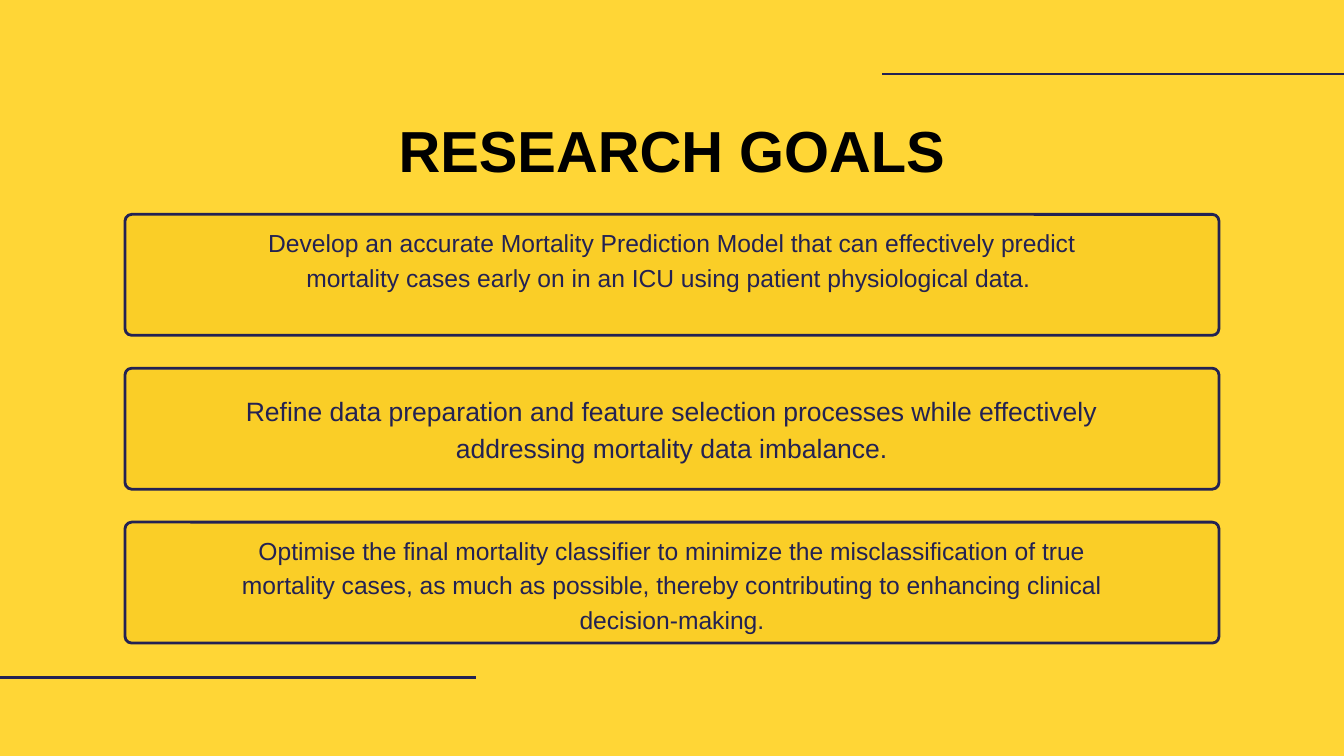
from pptx import Presentation
from pptx.dml.color import RGBColor
from pptx.enum.shapes import MSO_CONNECTOR, MSO_SHAPE
from pptx.enum.text import MSO_ANCHOR, MSO_AUTO_SIZE, PP_ALIGN
from pptx.util import Inches, Pt
from lxml import etree

STRAIGHT = MSO_CONNECTOR.STRAIGHT
ROUNDED = MSO_SHAPE.ROUNDED_RECTANGLE
TOP = MSO_ANCHOR.TOP
NO_AUTOFIT = MSO_AUTO_SIZE.NONE
CENTER = PP_ALIGN.CENTER
DRAWING_NS = "http://schemas.openxmlformats.org/drawingml/2006/main"

TITLE = "RESEARCH GOALS"
# Each goal: text, text style, offset of the text below the card top, text height
GOALS = [
    ("Develop an accurate Mortality Prediction Model that can effectively predict "
     "mortality cases early on in an ICU using patient physiological data. ",
     "goal", 0.13, 1.5),
    ("Refine data preparation and feature selection processes while effectively "
     "addressing mortality data imbalance.",
     "large_goal", 0.32, 1.09),
    ("Optimise the final mortality classifier to minimize the misclassification of true "
     "mortality cases, as much as possible, thereby contributing to enhancing clinical "
     "decision-making.",
     "goal", 0.13, 1.5),
]
RULES = [(-0.02, 10.08), (13.13, 1.1)]  # left end of each rule

THEME = {
    "background": RGBColor.from_string("FFD636"),
    "card": RGBColor.from_string("FACE27"),
    "ink": RGBColor.from_string("232253"),
    "title": RGBColor.from_string("000000"),
    "font": "Arial",
    "line_width": Pt(3),
}
STYLES = {
    "title": dict(size=62, spacing=86.8, color=THEME["title"], bold=True, width=8.7),
    "goal": dict(size=26.4, spacing=37, color=THEME["ink"], bold=False, width=12.83),
    "large_goal": dict(size=28.4, spacing=39.8, color=THEME["ink"], bold=False, width=13.8),
}

SLIDE_WIDTH, SLIDE_HEIGHT = 20, 11.25
RULE_LENGTH = 7.1
CARD_WIDTH, CARD_HEIGHT, CARD_RADIUS = 16.28, 1.8, 0.1
FIRST_CARD_TOP, CARD_STEP = 3.19, 2.29


def style_line(line):
    line.color.rgb = THEME["ink"]
    line.width = THEME["line_width"]


def add_rule(slide, left, top):
    rule = slide.shapes.add_connector(
        STRAIGHT, Inches(left), Inches(top), Inches(left + RULE_LENGTH), Inches(top))
    style_line(rule.line)
    etree.SubElement(rule._element.spPr, f"{{{DRAWING_NS}}}effectLst")


def add_card(slide, top):
    card = slide.shapes.add_shape(
        ROUNDED, Inches((SLIDE_WIDTH - CARD_WIDTH) / 2), Inches(top),
        Inches(CARD_WIDTH), Inches(CARD_HEIGHT))
    card.adjustments[0] = CARD_RADIUS / CARD_HEIGHT
    card.shadow.inherit = False
    card.fill.solid()
    card.fill.fore_color.rgb = THEME["card"]
    style_line(card.line)


def add_centered_text(slide, text, style_name, top, height):
    """Place a text box across the middle of the slide."""
    style = STYLES[style_name]
    box = slide.shapes.add_textbox(
        Inches((SLIDE_WIDTH - style["width"]) / 2), Inches(top),
        Inches(style["width"]), Inches(height))
    frame_format = dict(word_wrap=True, auto_size=NO_AUTOFIT, vertical_anchor=TOP,
                        margin_left=0, margin_right=0, margin_top=0, margin_bottom=0)
    for name, value in frame_format.items():
        setattr(box.text_frame, name, value)
    paragraph = box.text_frame.paragraphs[0]
    paragraph.alignment = CENTER
    paragraph.line_spacing = Pt(style["spacing"])
    run = paragraph.add_run()
    run.text = text
    font_format = dict(name=THEME["font"], size=Pt(style["size"]), bold=style["bold"])
    for name, value in font_format.items():
        setattr(run.font, name, value)
    run.font.color.rgb = style["color"]


def main():
    presentation = Presentation()
    presentation.slide_width = Inches(SLIDE_WIDTH)
    presentation.slide_height = Inches(SLIDE_HEIGHT)
    slide = presentation.slides.add_slide(presentation.slide_layouts[6])
    slide.background.fill.solid()
    slide.background.fill.fore_color.rgb = THEME["background"]

    for left, top in RULES:
        add_rule(slide, left, top)
    add_centered_text(slide, TITLE, "title", 1.53, 1.17)
    for index, (text, style_name, offset, height) in enumerate(GOALS):
        card_top = FIRST_CARD_TOP + index * CARD_STEP
        add_card(slide, card_top)
        add_centered_text(slide, text, style_name, card_top + offset, height)

    presentation.save("out.pptx")


if __name__ == "__main__":
    main()
